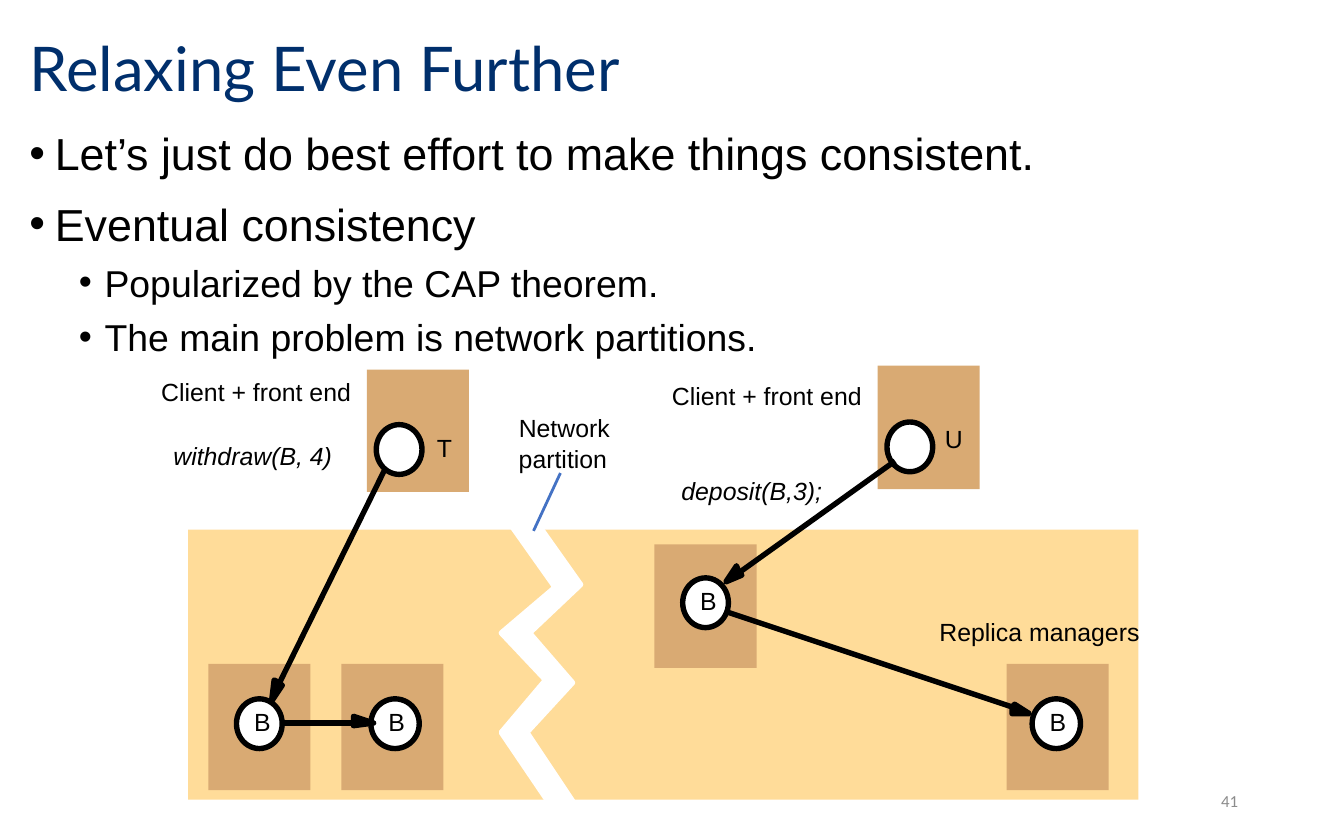
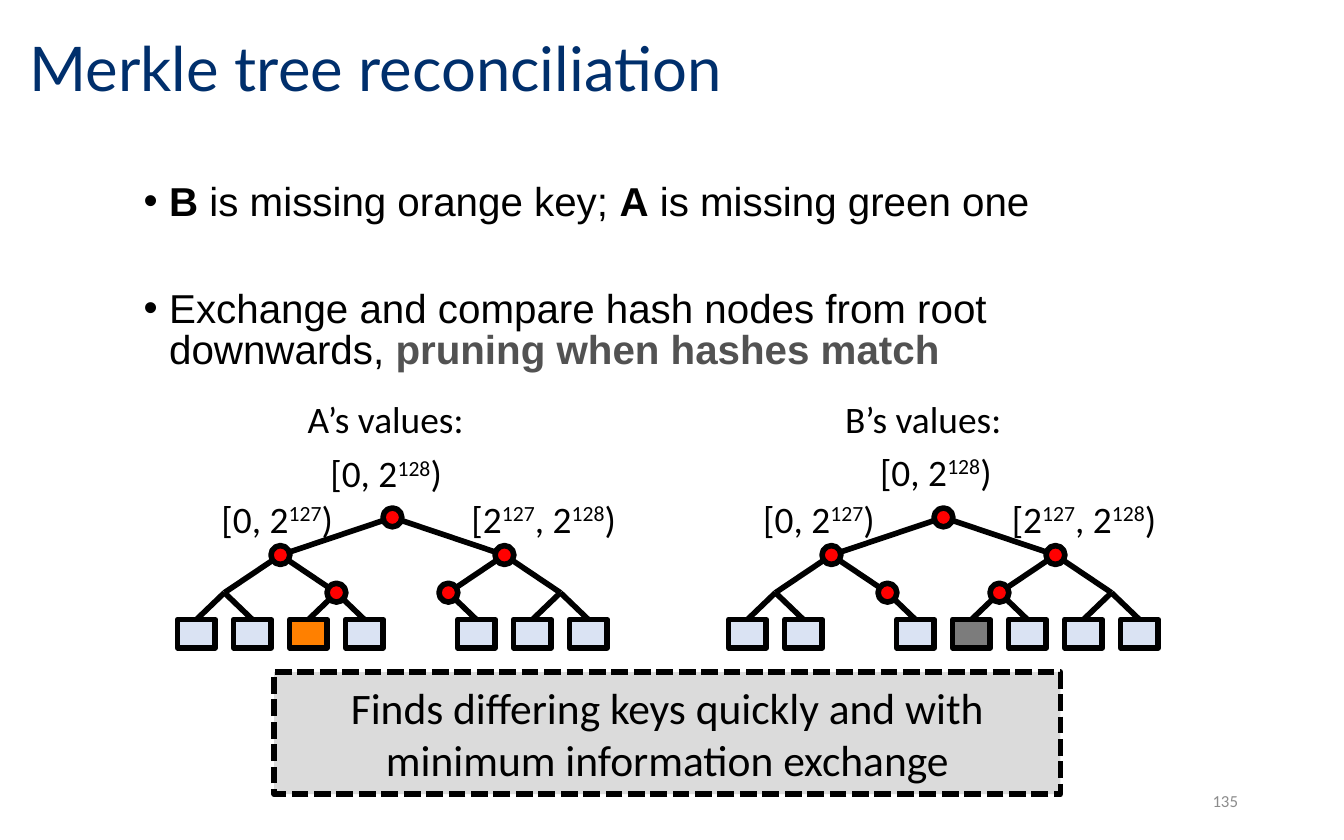
from lxml import etree
from pptx import Presentation
from pptx import util as u
from pptx.dml.color import RGBColor
from pptx.enum import dml, shapes, text
from pptx.oxml.ns import qn

PX = 9144
HUES = {
    "navy": "002F6C", "black": "000000", "white": "FFFFFF", "page": "8C8C8C",
    "stress": "525252", "sand": "FFDC99", "tan": "D9AA73", "blue": "4472C4",
    "leaf": "DAE3F3", "orange": "FF8000", "gray": "7C7C7C", "red": "FF0000",
    "note": "DBDBDB",
}
RECT = shapes.MSO_SHAPE.RECTANGLE
OVAL = shapes.MSO_SHAPE.OVAL
MID = text.MSO_ANCHOR.MIDDLE
BOLD = {"bold": True}
SUP = {"sup": True}
THIN = 2.88
SPAN = 1000 / 3
ROWS = [385, 413, 441, 461]


def emu(*vals):
    """Turn px lengths into EMU."""
    return [round(v * PX) for v in vals]


def rgb(hue):
    """Look up a named colour."""
    return RGBColor.from_string(HUES[hue])


def write(para, runs, size, font, hue="black"):
    """Add runs, each a string or a (string, style) pair."""
    for item in runs:
        words, style = (item, {}) if isinstance(item, str) else item
        run = para.add_run()
        run.text = words
        run.font.size, run.font.name = u.Pt(size), font
        run.font.bold = style.get("bold", False)
        run.font.italic = style.get("italic", False)
        run.font.color.rgb = rgb(style.get("hue", hue))
        if style.get("sup"):
            run.font._element.set("baseline", "30000")


def paint(shape, fill, line=None, width=THIN):
    """Set the fill and outline of a shape."""
    shape.shadow.inherit = False
    shape.fill.solid()
    shape.fill.fore_color.rgb = rgb(fill)
    if line:
        shape.line.color.rgb = rgb(line)
        shape.line.width = u.Pt(width)
    else:
        shape.line.fill.background()
    return shape


def form(slide, kind, at, fill, line=None, width=THIN):
    """Add a preset shape."""
    return paint(slide.shapes.add_shape(kind, *emu(*at)), fill, line, width)


def poly(slide, pts, hue):
    """Add a closed outline of one colour."""
    pen = slide.shapes.build_freeform(*pts[0], scale=PX)
    pen.add_line_segments(pts[1:], close=True)
    paint(pen.convert_to_shape(), hue, hue)


def link(slide, start, end, hue="black", width=THIN):
    """Add a straight line."""
    line = slide.shapes.add_connector(
        shapes.MSO_CONNECTOR.STRAIGHT, *emu(*start, *end))
    line.line.color.rgb = rgb(hue)
    line.line.width = u.Pt(width)
    etree.SubElement(line._element.spPr, qn("a:effectLst"))


def label(slide, at, runs, size, font, inset=True):
    """Add a line of text that does not wrap."""
    frame = slide.shapes.add_textbox(*emu(*at)).text_frame
    frame.word_wrap = False
    frame.auto_size = text.MSO_AUTO_SIZE.SHAPE_TO_FIT_TEXT
    if not inset:
        frame.margin_left = frame.margin_right = 0
        frame.margin_top = frame.margin_bottom = 0
    write(frame.paragraphs[0], runs, size, font)


def tag(slide, x, y, wide, words, italic=False):
    """Add a small diagram label."""
    label(slide, (x, y, wide, 22), [(words, {"italic": italic})],
          13.3, "Arial", inset=False)


def bullets(slide, at, items, lead):
    """Add a list of (indent, size, space before, runs)."""
    frame = slide.shapes.add_textbox(*emu(*at)).text_frame
    frame.word_wrap = True
    for i, (left, size, gap, runs) in enumerate(items):
        para = frame.add_paragraph() if i else frame.paragraphs[0]
        props = para._p.get_or_add_pPr()
        props.set("marL", str(emu(left)[0]))
        props.set("indent", str(emu(-19)[0]))
        etree.SubElement(props, qn("a:buFont")).set("typeface", "Arial")
        etree.SubElement(props, qn("a:buChar")).set("char", "•")
        para.line_spacing = lead
        if i:
            para.space_before = u.Pt(gap)
        write(para, runs, size, "Arial")


def start(deck, title, page):
    """Add a slide with its title and page number."""
    slide = deck.slides.add_slide(deck.slide_layouts[5])
    head = slide.shapes.title
    head.left, head.top, head.width, head.height = emu(12, 10, 852, 86)
    frame = head.text_frame
    frame.vertical_anchor = MID
    para = frame.paragraphs[0]
    para.alignment = text.PP_ALIGN.LEFT
    para.line_spacing = 0.9
    write(para, [title], 33, "Lato", "navy")
    foot = slide.shapes.add_textbox(*emu(706, 579, 225, 33)).text_frame
    foot.word_wrap = True
    foot.vertical_anchor = MID
    foot.paragraphs[0].alignment = text.PP_ALIGN.RIGHT
    write(foot.paragraphs[0], [page], 9, "Calibri", "page")
    return slide


def relax(deck):
    """Build the slide on eventual consistency."""
    slide = start(deck, "Relaxing Even Further", "41")
    bullets(slide, (12, 87, 977, 476), [
        (19, 24, 0, ["Let’s just do best effort to make things consistent."]),
        (19, 24, 7.5, ["Eventual consistency"]),
        (56, 20, 3.8, ["Popularized by the CAP theorem."]),
        (56, 20, 3.8, ["The main problem is network partitions."]),
    ], 1.05)
    form(slide, RECT, (140, 394, 707, 201), "sand")
    hosts = [(487, 405, 92), (273, 275, 91), (749, 494, 94),
             (155, 494, 94), (254, 494, 94), (653, 272, 92)]
    for x, y, tall in hosts:
        form(slide, RECT, (x, y, 76, tall), "tan")
    nodes = [(768, 520, 36), (276, 520, 36), (280, 316, 34),
             (660, 314, 34), (508, 430, 34), (176, 520, 34)]
    for x, y, wide in nodes:
        form(slide, OVAL, (x, y, wide, 37), "white", "black")
    for x, y in [(781, 526), (521, 436), (189, 526), (289, 526)]:
        tag(slide, x, y, 12, "B")
    tag(slide, 325, 322, 11, "T")
    tag(slide, 703, 315, 13, "U")
    for x, y in [(120, 280), (500, 283)]:
        tag(slide, x, y, 143, "Client + front end")
    tag(slide, 129, 328, 120, "withdraw(B, 4)", True)
    tag(slide, 507, 354, 106, "deposit(B,3);", True)
    tag(slide, 699, 459, 150, "Replica managers")
    tag(slide, 386, 307, 69, "Network")
    tag(slide, 386, 330, 67, "partition")
    calls = [
        ((286, 350), [(208, 508), (210, 510), (202, 522), (204, 506)]),
        ((208, 538), [(263, 538), (263, 533), (278, 538), (263, 540)]),
        ((666, 343), [(550, 426), (552, 428), (540, 433), (548, 421)]),
        ((540, 455), [(753, 526), (755, 524), (766, 531), (753, 531)]),
    ]
    for tail, tip in calls:
        poly(slide, tip, "black")
        link(slide, tail, tip[0])
    poly(slide, [(379, 389), (413, 437), (373, 471), (406, 506), (373, 545),
                 (413, 604), (430, 602), (392, 545), (426, 508), (394, 471),
                 (432, 435), (398, 387)], "white")
    link(slide, (417, 352), (397, 395), "blue", 1.5)


def tree(slide, root, gone, odd, hue, name, spots):
    """Draw a hash tree with one missing and one odd leaf."""
    def spot(row, i):
        return root + SPAN * ((i + 0.5) / 2 ** row - 0.5), ROWS[row]

    leaves = [i for i in range(8) if i != gone]
    for i in leaves:
        form(slide, RECT, (spot(3, i)[0] - 14, 461, 28, 21),
             hue if i == odd else "leaf", "black", 3)
    for row, kids in [(3, leaves), (2, range(4)), (1, range(2))]:
        for i in kids:
            link(slide, spot(row, i), spot(row - 1, i // 2), width=3)
    names = [
        (138, [name]),
        (107, ["[0, 2", ("128", SUP), ")"]),
        (107, ["[0, 2", ("127", SUP), ")"]),
        (136, ["[2", ("127", SUP), ", 2", ("128", SUP), ")"]),
    ]
    for (x, y), (wide, runs) in zip(spots, names):
        label(slide, (x, y, wide, 44), runs, 20, "Calibri")
    for row, i in [(0, 0), (1, 0), (1, 1), (2, 1), (2, 2)]:
        x, y = spot(row, i)
        form(slide, OVAL, (x - 7, y - 7, 14, 14), "red", "black", 3)


def merkle(deck):
    """Build the slide on hash tree comparison."""
    slide = start(deck, "Merkle tree reconciliation", "135")
    bullets(slide, (97, 132, 799, 152), [
        (19, 21.6, 0, [("B", BOLD), " is missing orange key; ", ("A", BOLD),
                       " is missing green one"]),
        (19, 21.6, 35, ["Exchange and compare hash nodes from root downwards, ",
                        ("pruning when hashes match",
                         {"bold": True, "hue": "stress"})]),
    ], 0.85)
    tree(slide, 702, 2, 4, "gray", "B’s values:",
         [(619, 290), (645, 329), (558, 364), (743, 364)])
    tree(slide, 292, 4, 2, "orange", "A’s values:",
         [(219, 290), (236, 330), (155, 364), (341, 364)])
    note = form(slide, RECT, (204, 500, 585, 91), "note", "black", 3)
    note.line.dash_style = dml.MSO_LINE.SQUARE_DOT
    frame = note.text_frame
    frame.word_wrap = True
    frame.vertical_anchor = MID
    frame.margin_left, frame.margin_right = emu(8, 8)
    frame.margin_top, frame.margin_bottom = emu(4, 4)
    frame.paragraphs[0].alignment = text.PP_ALIGN.CENTER
    write(frame.paragraphs[0],
          ["Finds differing keys quickly and with minimum information exchange"],
          23.3, "Calibri")


def main():
    """Build and save the deck."""
    deck = Presentation()
    deck.slide_width, deck.slide_height = emu(1000, 625)
    relax(deck)
    merkle(deck)
    deck.save("out.pptx")


if __name__ == "__main__":
    main()
